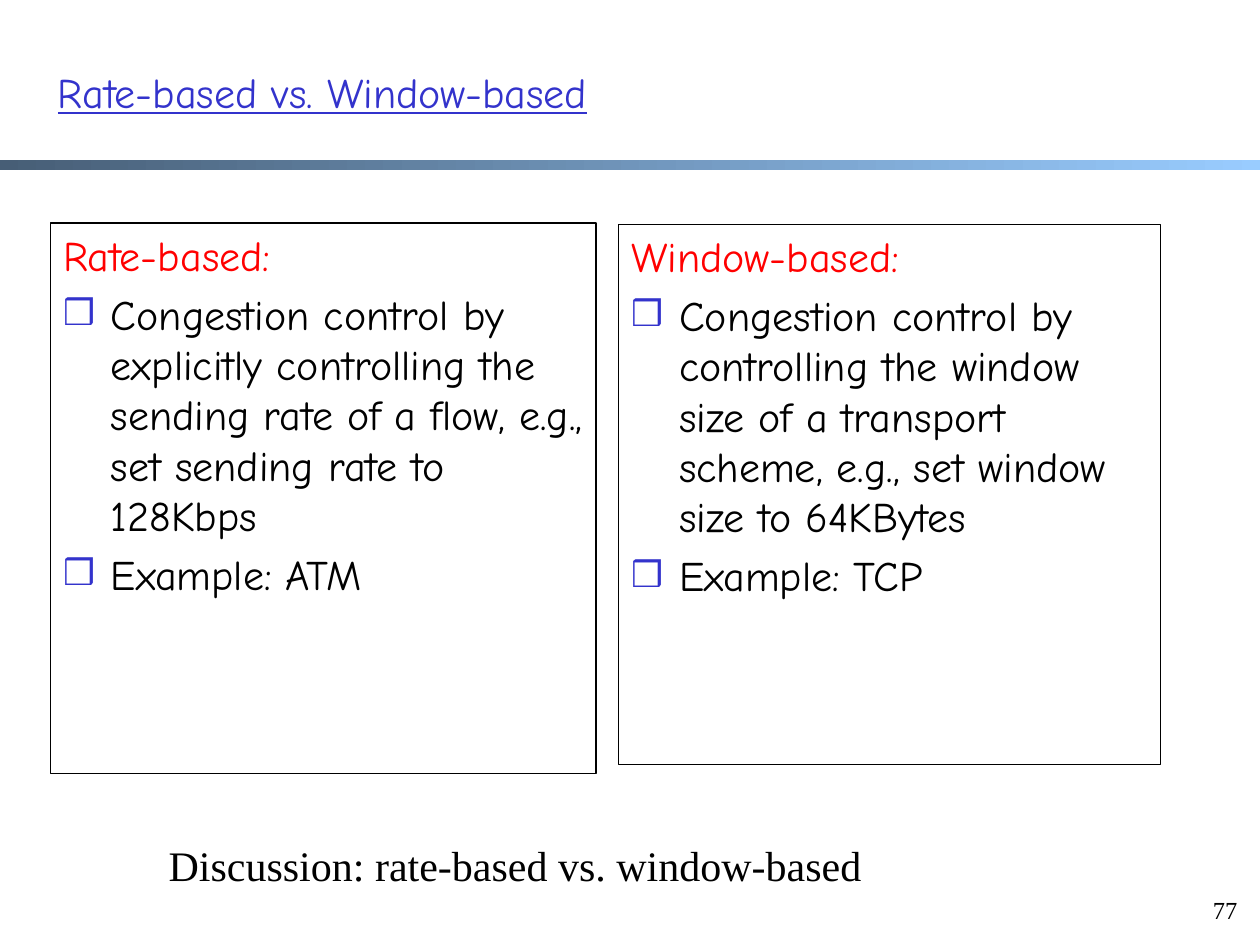
from dataclasses import dataclass

import lxml.etree
import pptx
import pptx.dml.color
import pptx.enum.dml
import pptx.enum.shapes
import pptx.enum.text
import pptx.oxml.ns
import pptx.util

Inches = pptx.util.Inches
Pt = pptx.util.Pt


@dataclass(frozen=True)
class Theme:
    accent: str = "3333CC"
    heading: str = "FF0000"
    ink: str = "000000"
    band_start: str = "475E76"
    band_end: str = "99CCFF"
    hand: str = "Comic Neue"
    serif: str = "Times New Roman"
    text_size: int = 24
    number_size: int = 14


THEME = Theme()


def rgb(value):
    return pptx.dml.color.RGBColor.from_string(value)


def style(paragraph, face, color, size=THEME.text_size):
    paragraph.font.name = face
    paragraph.font.size = Pt(size)
    paragraph.font.color.rgb = rgb(color)


def place(shape, left, top, width, height):
    shape.left, shape.top = Inches(left), Inches(top)
    shape.width, shape.height = Inches(width), Inches(height)


def add_bullet_element(properties, tag, **attributes):
    return lxml.etree.SubElement(properties, pptx.oxml.ns.qn(tag), **attributes)


def set_bullet(paragraph, bulleted):
    properties = paragraph._p.get_or_add_pPr()
    properties.set("marL", str(Inches(0.38)))
    properties.set("indent", str(Inches(-0.38)))
    if bulleted:
        color = add_bullet_element(properties, "a:buClr")
        add_bullet_element(color, "a:srgbClr", val=THEME.accent)
        add_bullet_element(properties, "a:buSzPct", val="85000")
        add_bullet_element(properties, "a:buChar", char="❒")
    else:
        add_bullet_element(properties, "a:buNone")


def add_band(slide):
    band = slide.shapes.add_shape(
        pptx.enum.shapes.MSO_SHAPE.RECTANGLE,
        Inches(0), Inches(1.27), Inches(10), Inches(0.08))
    band.shadow.inherit = False
    band.line.fill.background()
    band.fill.gradient()
    band.fill.gradient_angle = 0
    for stop, color in zip(band.fill.gradient_stops,
                           (THEME.band_start, THEME.band_end)):
        stop.color.rgb = rgb(color)


def fill_title(title, text):
    place(title, 0.36, 0.45, 8.77, 0.55)
    frame = title.text_frame
    frame.text = text
    frame.auto_size = pptx.enum.text.MSO_AUTO_SIZE.NONE
    frame.vertical_anchor = pptx.enum.text.MSO_ANCHOR.MIDDLE
    paragraph = frame.paragraphs[0]
    paragraph.alignment = pptx.enum.text.PP_ALIGN.LEFT
    style(paragraph, THEME.hand, THEME.accent)
    paragraph.font.underline = True


def fill_panel(panel, box, heading, points):
    place(panel, *box)
    panel.line.color.rgb = rgb(THEME.ink)
    panel.line.width = Pt(0.75)
    frame = panel.text_frame
    frame.auto_size = pptx.enum.text.MSO_AUTO_SIZE.NONE
    frame.text = "\n".join([heading, *points])
    for index, paragraph in enumerate(frame.paragraphs):
        set_bullet(paragraph, bulleted=index > 0)
        paragraph.space_before = Pt(0.2 * THEME.text_size if index else 0)
        style(paragraph, THEME.hand, THEME.ink if index else THEME.heading)


def add_label(slide, box, text, size, alignment, wrap):
    label = slide.shapes.add_textbox(*map(Inches, box))
    label.text_frame.word_wrap = wrap
    label.text_frame.text = text
    paragraph = label.text_frame.paragraphs[0]
    paragraph.alignment = alignment
    style(paragraph, THEME.serif, THEME.ink, size)


def main():
    deck = pptx.Presentation()
    deck.slide_width, deck.slide_height = Inches(10), Inches(7.5)
    slide = deck.slides.add_slide(deck.slide_layouts.get_by_name("Two Content"))
    title, rate_panel, window_panel = slide.placeholders
    align = pptx.enum.text.PP_ALIGN

    add_band(slide)
    fill_title(title, "Rate-based vs. Window-based")
    fill_panel(rate_panel, (0.4, 1.77, 4.33, 4.37), "Rate-based:", [
        "Congestion control by explicitly controlling the sending rate "
        "of a flow, e.g., set sending rate to 128Kbps",
        "Example: ATM",
    ])
    fill_panel(window_panel, (4.91, 1.78, 4.3, 4.29), "Window-based:", [
        "Congestion control by controlling the window size of a transport "
        "scheme, e.g., set window size to 64KBytes",
        "Example: TCP",
    ])
    add_label(slide, (1.24, 6.61, 5.7, 0.5),
              "Discussion: rate-based vs. window-based",
              THEME.text_size, align.LEFT, wrap=False)
    add_label(slide, (9.46, 7.05, 0.46, 0.38), "77",
              THEME.number_size, align.RIGHT, wrap=True)
    deck.save("out.pptx")


if __name__ == "__main__":
    main()
